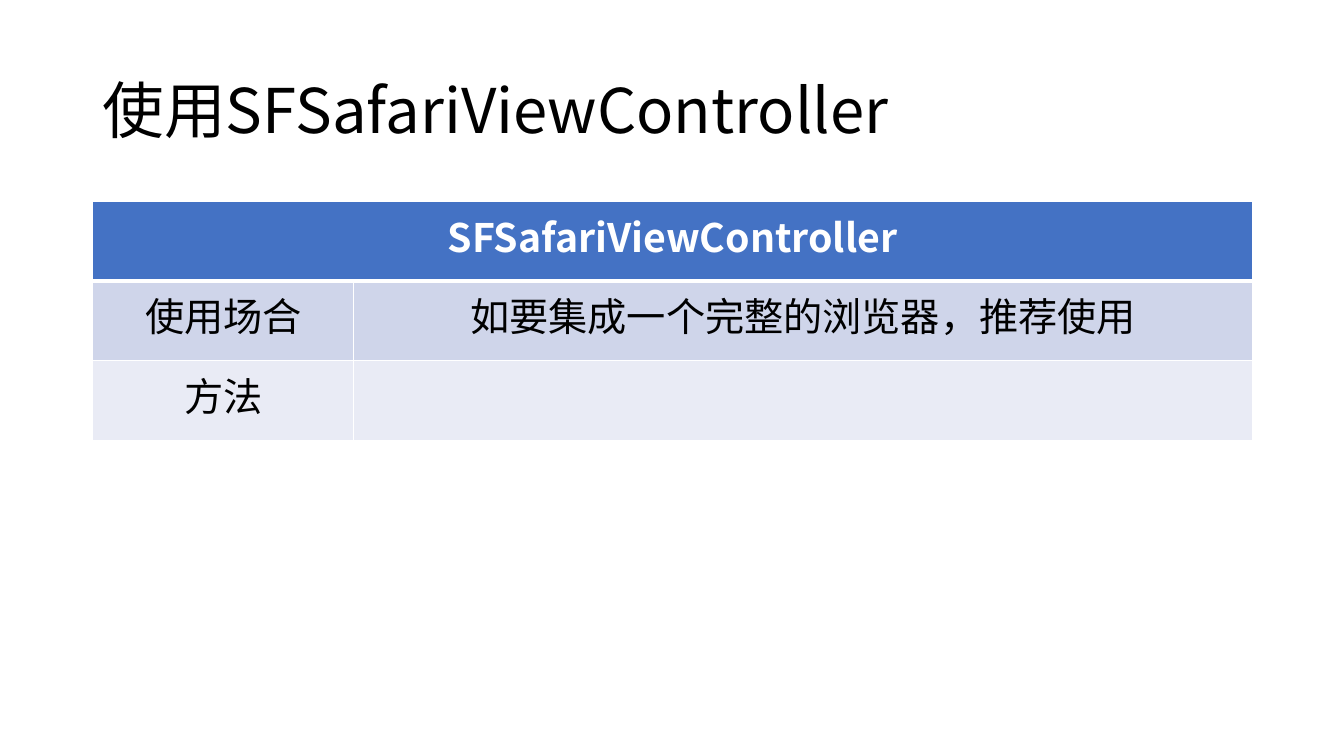
from lxml import etree
from pptx import Presentation
from pptx.dml.color import RGBColor
from pptx.enum.text import MSO_ANCHOR, PP_ALIGN
from pptx.oxml.ns import qn
from pptx.util import Emu, Pt

MIDDLE, LEFT, CENTER = MSO_ANCHOR.MIDDLE, PP_ALIGN.LEFT, PP_ALIGN.CENTER
PX = 9144  # 100 px to the inch
FONT = "Noto Sans CJK SC"
COLORS = {
    "ink": "000000",
    "white": "FFFFFF",
    "header": "4472C4",
    "band_dark": "CFD5EA",
    "band_light": "E9EBF5",
}
TITLE = {"size": Pt(44), "bold": False}
HEADER = {"size": Pt(28), "bold": True}
BODY = {"size": Pt(28), "bold": False}

ROWS = [
    ("SFSafariViewController", ""),
    ("使用场合", "如要集成一个完整的浏览器，推荐使用"),
    ("方法", ""),
]
ROW_STYLES = [
    ("header", "white", HEADER),
    ("band_dark", "ink", BODY),
    ("band_light", "ink", BODY),
]


def px(*lengths):
    return [Emu(length * PX) for length in lengths]


def rgb(name):
    return RGBColor.from_string(COLORS[name])


class SlideBuilder:
    def __init__(self, slide):
        self.slide = slide

    def add_text(self, frame, text, color, style, align):
        para = frame.paragraphs[0]
        para.alignment = align
        span = para.add_run()
        span.text = text
        for name, value in {"name": FONT, **style}.items():
            setattr(span.font, name, value)
        span.font.color.rgb = rgb(color)
        latin = span.font._element.find(qn("a:latin"))
        east_asian = etree.Element(qn("a:ea"), typeface=FONT)
        latin.addnext(east_asian)
        return para

    def title(self, text, *bounds):
        box = self.slide.shapes.add_textbox(*px(*bounds))
        frame = box.text_frame
        frame.word_wrap = True
        frame.vertical_anchor = MIDDLE
        para = self.add_text(frame, text, "ink", TITLE, LEFT)
        para.line_spacing = 0.9

    def borders(self, cell, widths):
        """Draw white cell edges; widths maps an edge letter to points."""
        properties = cell._tc.get_or_add_tcPr()
        for index, (edge, width) in enumerate(widths.items()):
            line = etree.Element(qn(f"a:ln{edge}"), w=str(int(Pt(width))))
            fill = etree.SubElement(line, qn("a:solidFill"))
            etree.SubElement(fill, qn("a:srgbClr"), val=COLORS["white"])
            properties.insert(index, line)

    def table(self, rows, left, top, column_widths, row_height):
        bounds = px(left, top, sum(column_widths), row_height * len(rows))
        table = self.slide.shapes.add_table(len(rows), len(column_widths), *bounds).table
        for column, width in zip(table.columns, px(*column_widths)):
            column.width = width
        for index, (texts, (fill, color, style)) in enumerate(zip(rows, ROW_STYLES)):
            table.rows[index].height = Emu(row_height * PX)
            edges = {"L": 1, "R": 1, "T": 3 if index == 1 else 1, "B": 3 if index == 0 else 1}
            for cell, text in zip(table.rows[index].cells, texts):
                cell.fill.solid()
                cell.fill.fore_color.rgb = rgb(fill)
                self.borders(cell, edges)
                if text:
                    self.add_text(cell.text_frame, text, color, style, CENTER)
        table.cell(0, 0).merge(table.cell(0, len(column_widths) - 1))


def main():
    deck = Presentation()
    deck.slide_width, deck.slide_height = px(1333, 750)
    page = SlideBuilder(deck.slides.add_slide(deck.slide_layouts[6]))
    page.title("使用SFSafariViewController", 92, 40, 1150, 145)
    page.table(ROWS, 92, 200, (259, 891), 79)
    deck.save("out.pptx")


if __name__ == "__main__":
    main()
